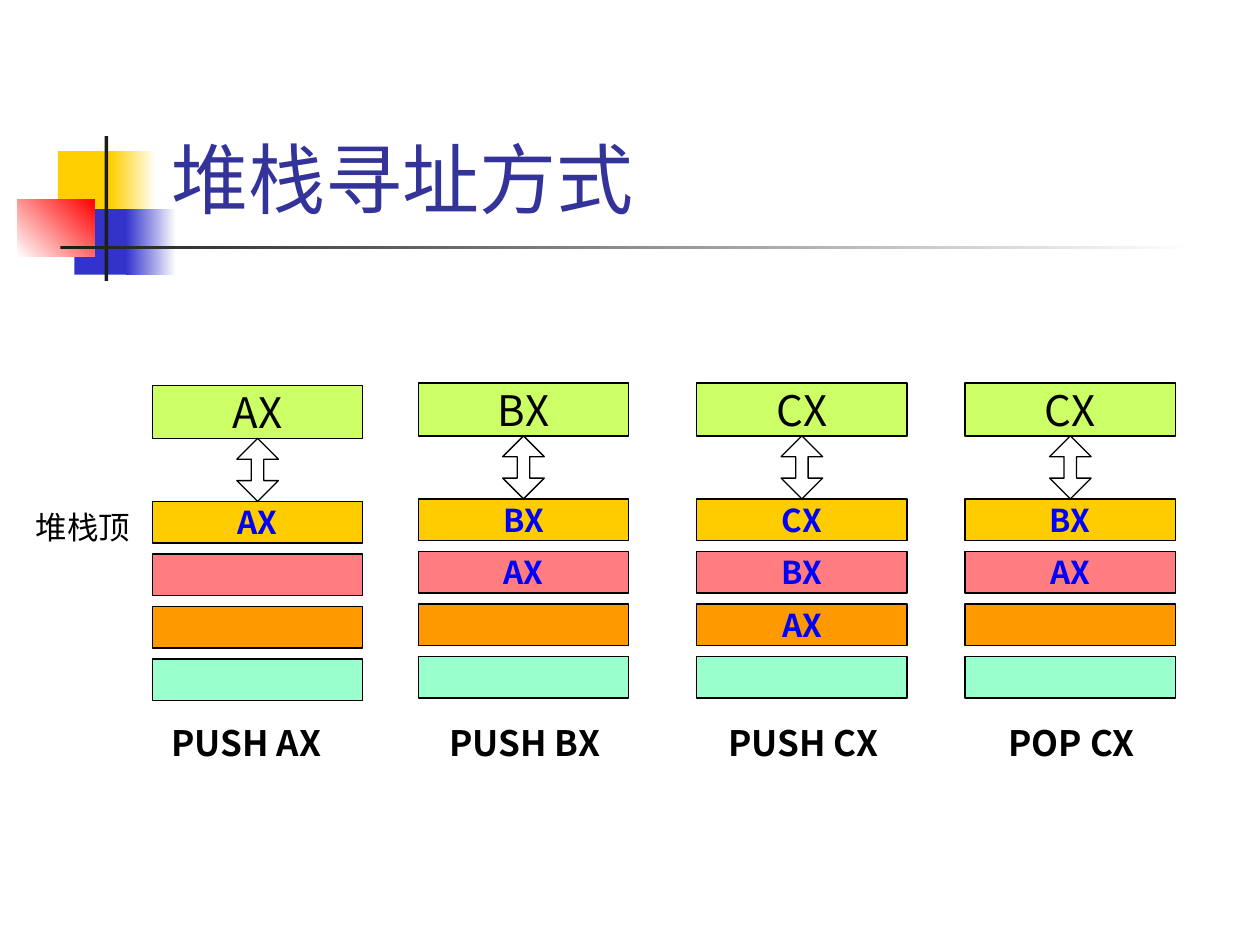
from lxml.etree import SubElement
from pptx import Presentation
from pptx.dml.color import RGBColor
from pptx.enum.shapes import MSO_SHAPE
from pptx.enum.text import MSO_ANCHOR, MSO_AUTO_SIZE, PP_ALIGN
from pptx.oxml.ns import qn
from pptx.util import Inches, Pt

CJK_FONT = "Noto Sans CJK JP"

prs = Presentation()
prs.slide_width, prs.slide_height = Inches(10), Inches(7.5)
slide = prs.slides.add_slide(prs.slide_layouts[5])


def add_block(left, top, width, height, fill=None, outlined=True, kind=MSO_SHAPE.RECTANGLE):
    block = slide.shapes.add_shape(
        kind, Inches(left), Inches(top), Inches(width), Inches(height))
    block.shadow.inherit = False
    if fill:
        block.fill.solid()
        block.fill.fore_color.rgb = RGBColor.from_string(fill)
    else:
        block.fill.background()
    if outlined:
        block.line.color.rgb = RGBColor.from_string("000000")
        block.line.width = Pt(0.75)
    else:
        block.line.fill.background()
    return block


def write(holder, text, size, color, bold=False, font=CJK_FONT,
          align=PP_ALIGN.CENTER, anchor=MSO_ANCHOR.MIDDLE, wrap=False):
    frame = holder.text_frame
    frame.text = text
    frame.word_wrap = wrap
    frame.auto_size = MSO_AUTO_SIZE.NONE
    frame.vertical_anchor = anchor
    paragraph = frame.paragraphs[0]
    paragraph.alignment = align
    run = paragraph.runs[0]
    run.font.size = Pt(size)
    run.font.bold = bold
    run.font.name = font
    run.font.color.rgb = RGBColor.from_string(color)
    SubElement(run.font._element, qn("a:ea"), typeface=CJK_FONT)


# Corner ornament: left, top, width, height, start colour, end colour, angle
ornament = [
    (0.46, 1.2, 0.48, 0.52, "FFCF01", None, 0),
    (0.88, 1.2, 0.36, 0.52, "FFCF01", "FFFFFF", 0),
    (0.59, 1.66, 0.46, 0.52, "3333CC", None, 0),
    (1, 1.66, 0.4, 0.52, "3333CC", "FFFFFF", 0),
    (0.14, 1.58, 0.61, 0.46, "FFFFFF", "FF0000", 45),
    (0.83, 1.08, 0.03, 1.15, "1C1C1C", None, 0),
    (0.48, 1.95, 9, 0.03, "1C1C1C", "FFFFFF", 0),
]
for left, top, width, height, start, end, angle in ornament:
    piece = add_block(left, top, width, height, start, outlined=False)
    if end:
        piece.fill.gradient()
        piece.fill.gradient_angle = angle
        for stop, color in zip(piece.fill.gradient_stops, (start, end)):
            stop.color.rgb = RGBColor.from_string(color)

# Title
title = slide.shapes.title
title.left, title.top = Inches(1.26), Inches(0.23)
title.width, title.height = Inches(8.52), Inches(1.6)
write(title, "堆栈寻址方式", 44, "333399", font="Cabin",
      align=PP_ALIGN.LEFT, anchor=MSO_ANCHOR.BOTTOM, wrap=True)

# One column per instruction: left, top, register, stack, instruction, its left
cell_colors = ["FFCC00", "FF7C80", "FF9900", "99FFCC"]
steps = [
    (1.21, 3.06, "AX", ["AX"], "PUSH AX", 1.22),
    (3.32, 3.04, "BX", ["BX", "AX"], "PUSH BX", 3.43),
    (5.53, 3.04, "CX", ["CX", "BX", "AX"], "PUSH CX", 5.64),
    (7.66, 3.04, "CX", ["BX", "AX"], "POP CX", 7.77),
]
column_width, cell_pitch = 1.67, 1.25 / 3
for left, top, register, stack, instruction, instruction_left in steps:
    write(add_block(left, top, column_width, 0.42, "CCFF66"), register, 24, "000000")

    for row, color in enumerate(cell_colors):
        cell = add_block(left, top + 0.92 + row * cell_pitch, column_width, 0.33, color)
        if row < len(stack):
            write(cell, stack[row], 18, "0000FF", bold=True)

    transfer = add_block(left + 0.67, top + 0.42, 0.33, 0.5, kind=MSO_SHAPE.UP_DOWN_ARROW)
    transfer.adjustments[0] = 0.5
    transfer.adjustments[1] = 0.3

    caption = slide.shapes.add_textbox(
        Inches(instruction_left), Inches(5.68), Inches(1.47), Inches(0.44))
    write(caption, instruction, 20, "000000", bold=True, anchor=MSO_ANCHOR.TOP)

# Stack top label
stack_top = slide.shapes.add_textbox(Inches(0.18), Inches(3.98), Inches(0.96), Inches(0.4))
write(stack_top, "堆栈顶", 18, "000000", font="Times New Roman",
      anchor=MSO_ANCHOR.TOP, wrap=True)

prs.save("out.pptx")
